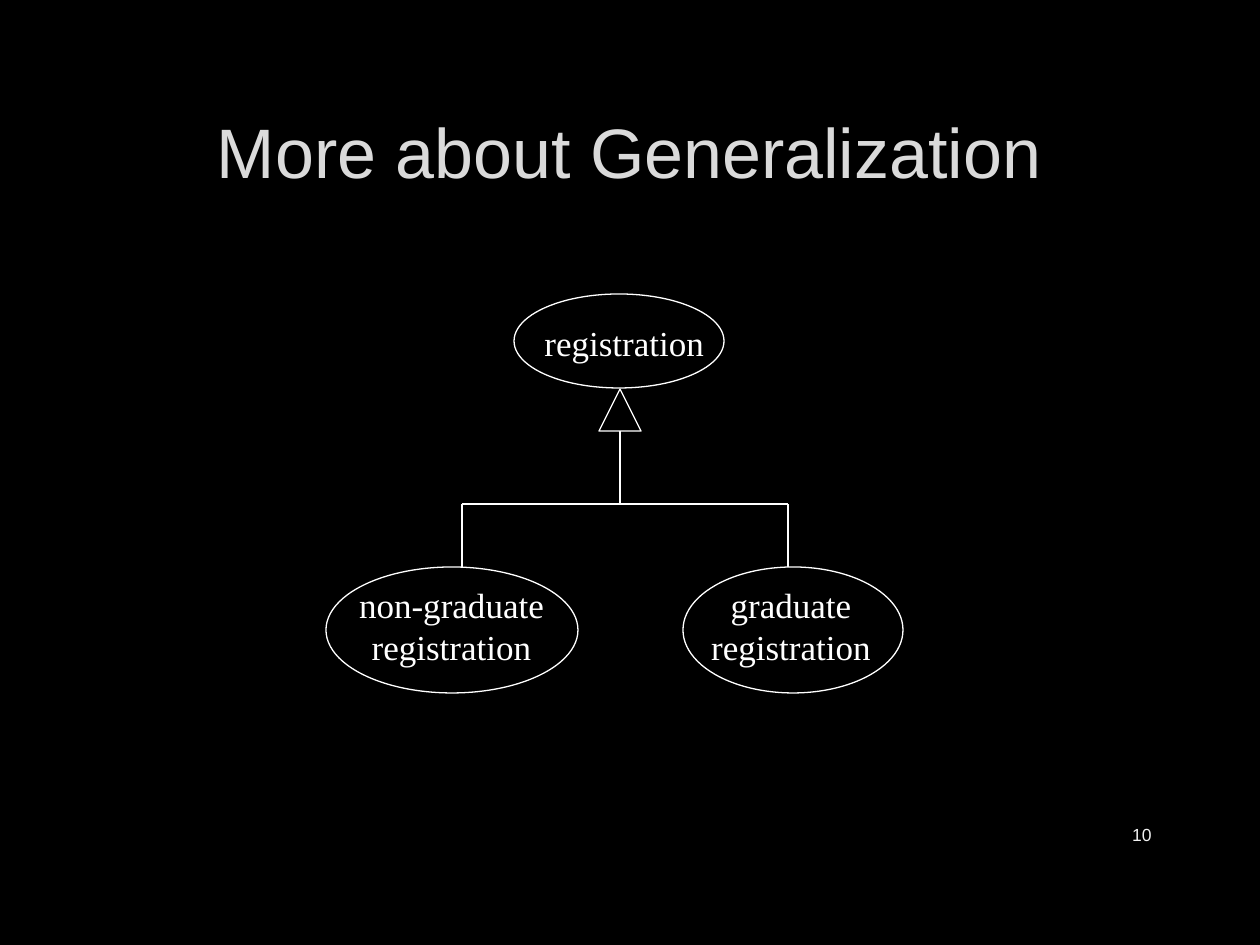
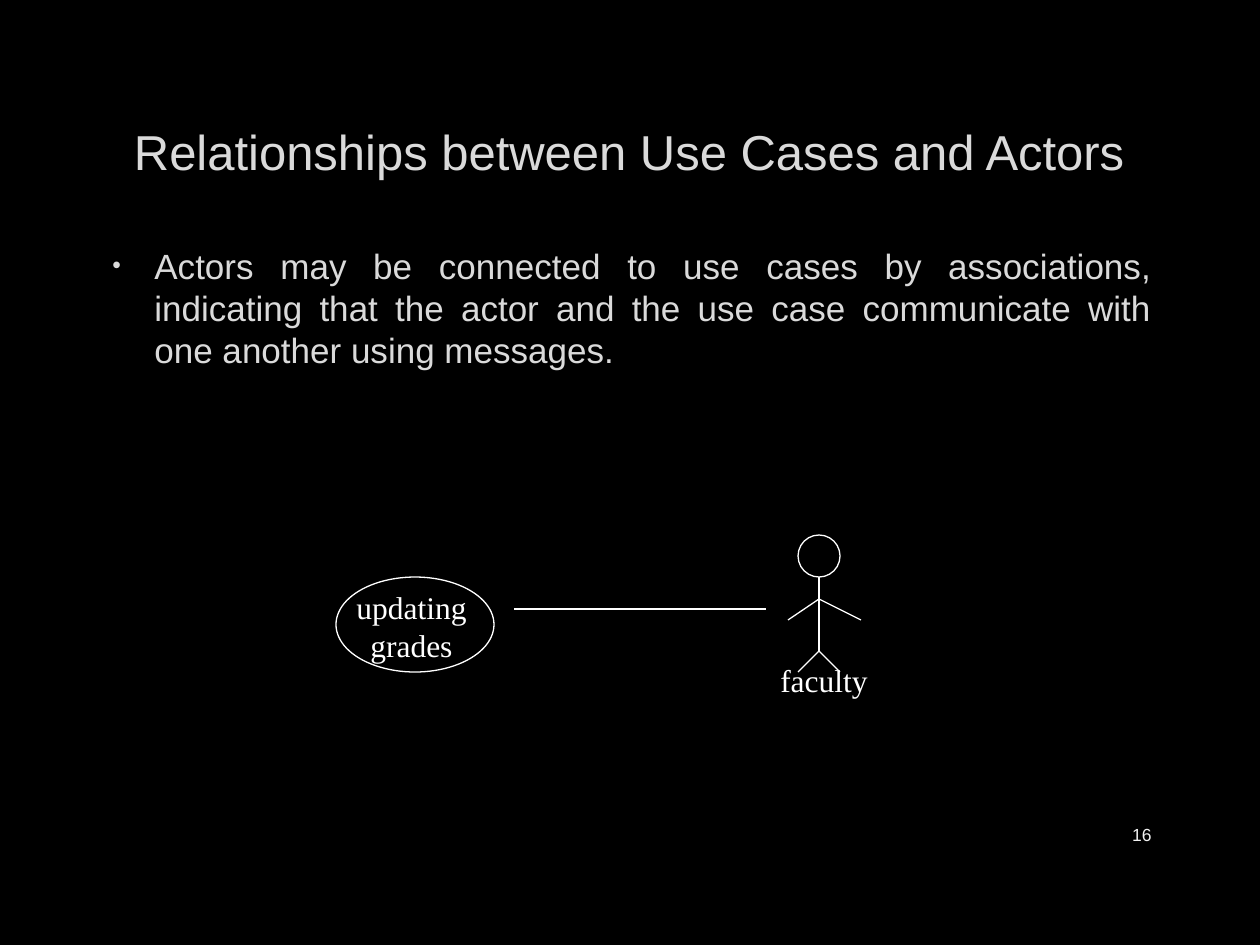
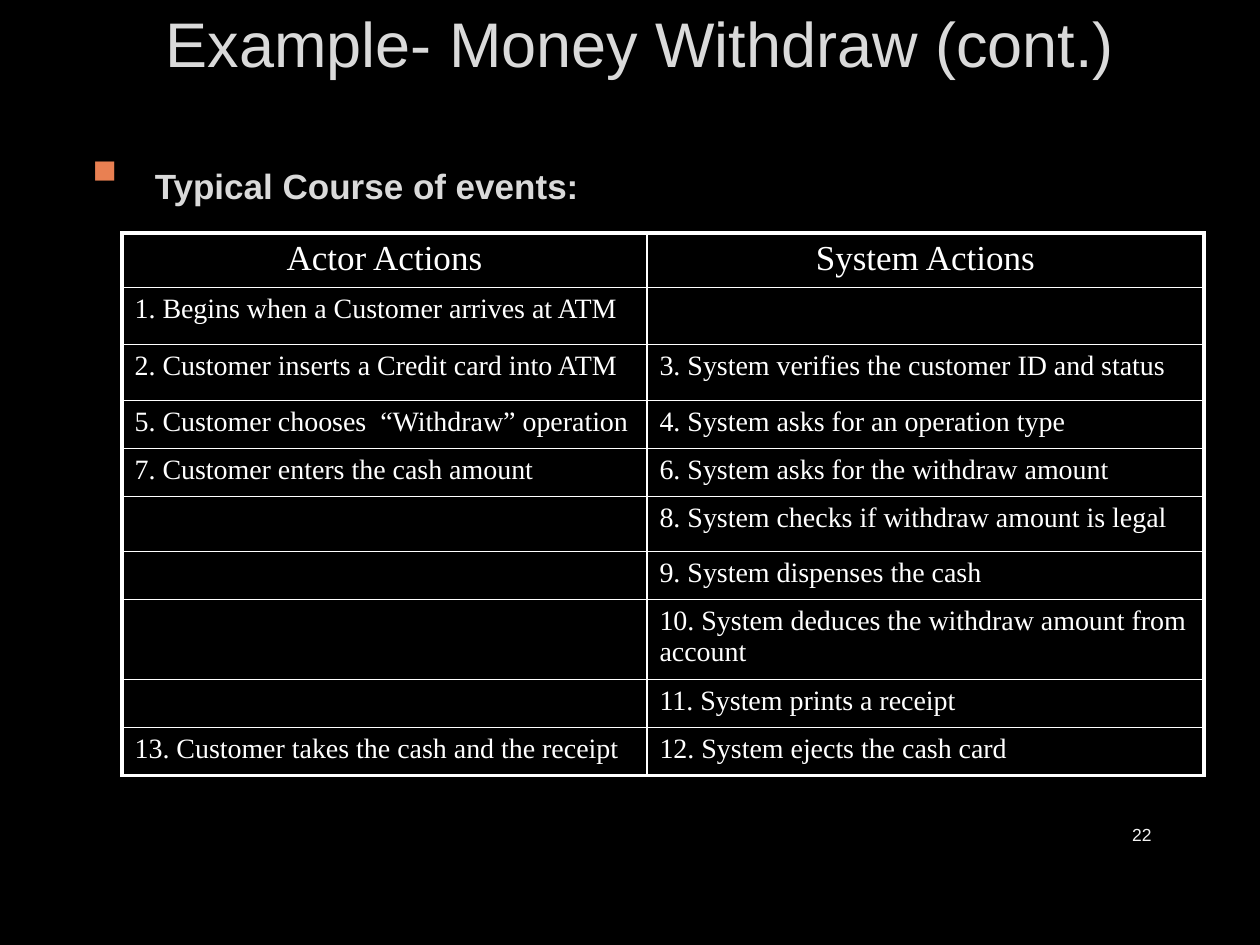
from dataclasses import dataclass
from typing import Any, NamedTuple, Optional

from lxml import etree
from pptx import Presentation
from pptx.dml.color import RGBColor
from pptx.enum import shapes, text
from pptx.oxml.ns import qn
from pptx.util import Emu, Pt

Align = text.PP_ALIGN
Anchor = text.MSO_ANCHOR
Kind = shapes.MSO_SHAPE


# Theme
@dataclass(frozen=True)
class Theme:
    back: str = "000000"
    ink: str = "FFFFFF"
    head: str = "DADADA"
    foot: str = "F2F2F2"
    mark: str = "E98052"
    sans: str = "Arial"
    serif: str = "Times New Roman"
    body: int = 20
    small: int = 18
    cell: int = 16
    tiny: int = 10
    large: int = 44
    thin: float = 0.75
    inner: float = 1
    outer: float = 2.25


THEME = Theme()
DPI = 126


class Box(NamedTuple):
    x: int
    y: int
    w: int
    h: int


class Line(NamedTuple):
    x1: int
    y1: int
    x2: int
    y2: int


class Form(NamedTuple):
    kind: Any
    box: Box


class Run(NamedTuple):
    text: str
    size: int
    font: str = THEME.serif
    color: str = THEME.ink
    bold: bool = False


class Label(NamedTuple):
    box: Box
    lines: tuple[str, ...]
    size: int
    align: Any = Align.CENTER


class Bullet(NamedTuple):
    char: str
    color: str
    scale: int


PAGE = Box(0, 0, 1260, 945)
TITLE = Box(94, 84, 1070, 134)
BODY = Box(94, 238, 1070, 560)
NUMBER = Box(1086, 810, 78, 50)


# Helpers
def px(n: float) -> Emu:
    return Emu(round(n * 914400 / DPI))


def rgb(color: str) -> RGBColor:
    return RGBColor.from_string(color)


def apply(target: Any, values: dict[str, Any]) -> None:
    for name, value in values.items():
        setattr(target, name, value)


def write(para: Any, runs: list[Run], **form: Any) -> None:
    apply(para, form)
    for item in runs:
        run = para.add_run()
        run.text = item.text
        apply(run.font, {"name": item.font, "size": Pt(item.size), "bold": item.bold})
        run.font.color.rgb = rgb(item.color)


def frame(slide: Any, box: Box, anchor: Any = Anchor.TOP) -> Any:
    area = slide.shapes.add_textbox(*map(px, box)).text_frame
    apply(area, {"word_wrap": True, "vertical_anchor": anchor})
    return area


def mark(para: Any, bullet: Bullet) -> None:
    props = para._p.get_or_add_pPr()
    props.set("marL", str(px(48)))
    props.set("indent", str(px(-42)))
    tint = etree.SubElement(props, qn("a:buClr"))
    etree.SubElement(tint, qn("a:srgbClr"), val=bullet.color)
    etree.SubElement(props, qn("a:buSzPct"), val=str(bullet.scale * 1000))
    etree.SubElement(props, qn("a:buFont"), typeface=THEME.sans)
    etree.SubElement(props, qn("a:buChar"), char=bullet.char)


# Slide parts
def page(deck: Any, title: str, size: int, number: int, box: Box = TITLE) -> Any:
    slide = deck.slides.add_slide(deck.slide_layouts[6])
    fill = slide.background.fill
    fill.solid()
    fill.fore_color.rgb = rgb(THEME.back)
    head = frame(slide, box, Anchor.MIDDLE).paragraphs[0]
    write(head, [Run(title, size, THEME.sans, THEME.head)], alignment=Align.CENTER)
    foot = frame(slide, NUMBER, Anchor.MIDDLE).paragraphs[0]
    write(foot, [Run(str(number), THEME.tiny, THEME.sans, THEME.foot)],
          alignment=Align.RIGHT)
    return slide


def point(slide: Any, box: Box, bullet: Bullet, runs: list[Run], align: Any) -> None:
    para = frame(slide, box).paragraphs[0]
    mark(para, bullet)
    write(para, runs, alignment=align, space_after=Pt(6))


def stroke(line: Any) -> None:
    line.color.rgb = rgb(THEME.ink)
    line.width = Pt(THEME.thin)


def draw(slide: Any, forms: list[Form], lines: list[Line], labels: list[Label]) -> None:
    for form in forms:
        shape = slide.shapes.add_shape(form.kind, *map(px, form.box))
        shape.shadow.inherit = False
        shape.fill.background()
        stroke(shape.line)
    for ends in lines:
        link = slide.shapes.add_connector(shapes.MSO_CONNECTOR.STRAIGHT, *map(px, ends))
        stroke(link.line)
        etree.SubElement(link._element.spPr, qn("a:effectLst"))
    for label in labels:
        area = frame(slide, label.box)
        for i, words in enumerate(label.lines):
            para = area.add_paragraph() if i else area.paragraphs[0]
            write(para, [Run(words, label.size)], alignment=label.align)


def edge(cell: Any, widths: dict[str, float]) -> None:
    props = cell._tc.get_or_add_tcPr()
    for side, width in widths.items():
        line = etree.SubElement(props, qn(f"a:ln{side}"), w=str(Pt(width)))
        fill = etree.SubElement(line, qn("a:solidFill"))
        etree.SubElement(fill, qn("a:srgbClr"), val=THEME.ink)


def grid(slide: Any, x: int, y: int, cols: list[int], rows: list[int],
         data: list[tuple[Optional[str], Optional[str]]]) -> None:
    box = Box(x, y, sum(cols), sum(rows))
    table = slide.shapes.add_table(len(rows), len(cols), *map(px, box)).table
    apply(table, {"first_row": False, "horz_banding": False})
    for col, width in zip(table.columns, cols):
        col.width = px(width)
    for r, (row, height) in enumerate(zip(table.rows, rows)):
        row.height = px(height)
        for c, cell in enumerate(row.cells):
            rims = {"L": c == 0, "R": c == len(cols) - 1,
                    "T": r == 0, "B": r == len(rows) - 1}
            edge(cell, {side: THEME.outer if rim else THEME.inner
                        for side, rim in rims.items()})
            cell.fill.background()
            para = cell.text_frame.paragraphs[0]
            size = THEME.cell if r else THEME.body
            if data[r][c]:
                write(para, [Run(data[r][c], size)],
                      alignment=Align.LEFT if r else Align.CENTER)
            else:
                etree.SubElement(para._p, qn("a:endParaRPr"), sz=str(size * 100))


# Slides
def tree(deck: Any) -> None:
    slide = page(deck, "More about Generalization", 40, 10)
    left, mid, right = 462, 620, 788
    top, bar, low = 431, 504, 567
    draw(slide,
         [Form(Kind.OVAL, Box(514, 294, 210, 94)),
          Form(Kind.OVAL, Box(683, low, 220, 126)),
          Form(Kind.OVAL, Box(326, low, 252, 126)),
          Form(Kind.ISOSCELES_TRIANGLE, Box(599, 389, 42, 42))],
         [Line(left, bar, left, low), Line(right, bar, right, low),
          Line(left, bar, right, bar), Line(mid, top, mid, bar)],
         [Label(Box(532, 315, 193, 54), ("registration",), THEME.body, Align.LEFT),
          Label(Box(690, 577, 202, 97), ("graduate", "registration"), THEME.body),
          Label(Box(336, 577, 231, 97), ("non-graduate", "registration"), THEME.body)])


def actor(deck: Any) -> None:
    slide = page(deck, "Relationships between Use Cases and Actors", 28, 16)
    point(slide, BODY, Bullet("•", THEME.head, 70),
          [Run("Actors may be connected to use cases by associations, indicating that "
               "the actor and the use case communicate with one another using messages.",
               THEME.body, THEME.sans, THEME.head)], Align.JUSTIFY)
    mid, neck, arm, hip = 819, 577, 599, 651
    draw(slide,
         [Form(Kind.OVAL, Box(336, 577, 158, 95)),
          Form(Kind.OVAL, Box(mid - 21, neck - 42, 42, 42))],
         [Line(mid, neck, mid, hip),
          Line(mid, arm, mid + 42, arm + 21), Line(mid, arm, mid - 31, arm + 21),
          Line(mid, hip, mid + 21, hip + 21), Line(mid, hip, mid - 21, hip + 21),
          Line(766, 609, 514, 609)],
         [Label(Box(339, 582, 145, 88), ("updating", "grades"), THEME.small),
          Label(Box(766, 655, 116, 50), ("faculty",), THEME.small)])


def events(deck: Any) -> None:
    slide = page(deck, "Example- Money Withdraw (cont.)", 36, 22, Box(73, 0, 1134, 84))
    point(slide, Box(73, 116, 1134, 624), Bullet("▪", THEME.mark, 100),
          [Run(" ", THEME.large, THEME.sans, THEME.head),
           Run("Typical Course of events:", THEME.body, THEME.sans, THEME.head, True)],
          Align.LEFT)
    grid(slide, 122, 233, [525, 557], [54, 57, 56, 48, 48, 55, 48, 80, 48, 48], [
        ("Actor Actions", "System Actions"),
        ("1. Begins when a Customer arrives at ATM", None),
        ("2. Customer inserts a Credit card into ATM",
         "3. System verifies the customer ID and status"),
        ("5. Customer chooses  “Withdraw” operation",
         "4. System asks for an operation type"),
        ("7. Customer enters the cash amount", "6. System asks for the withdraw amount"),
        (None, "8. System checks if withdraw amount is legal"),
        (None, "9. System dispenses the cash"),
        (None, "10. System deduces the withdraw amount from account"),
        (None, "11. System prints a receipt"),
        ("13. Customer takes the cash and the receipt", "12. System ejects the cash card"),
    ])


def main() -> None:
    deck = Presentation()
    apply(deck, {"slide_width": px(PAGE.w), "slide_height": px(PAGE.h)})
    for build in (tree, actor, events):
        build(deck)
    deck.save("out.pptx")


if __name__ == "__main__":
    main()
